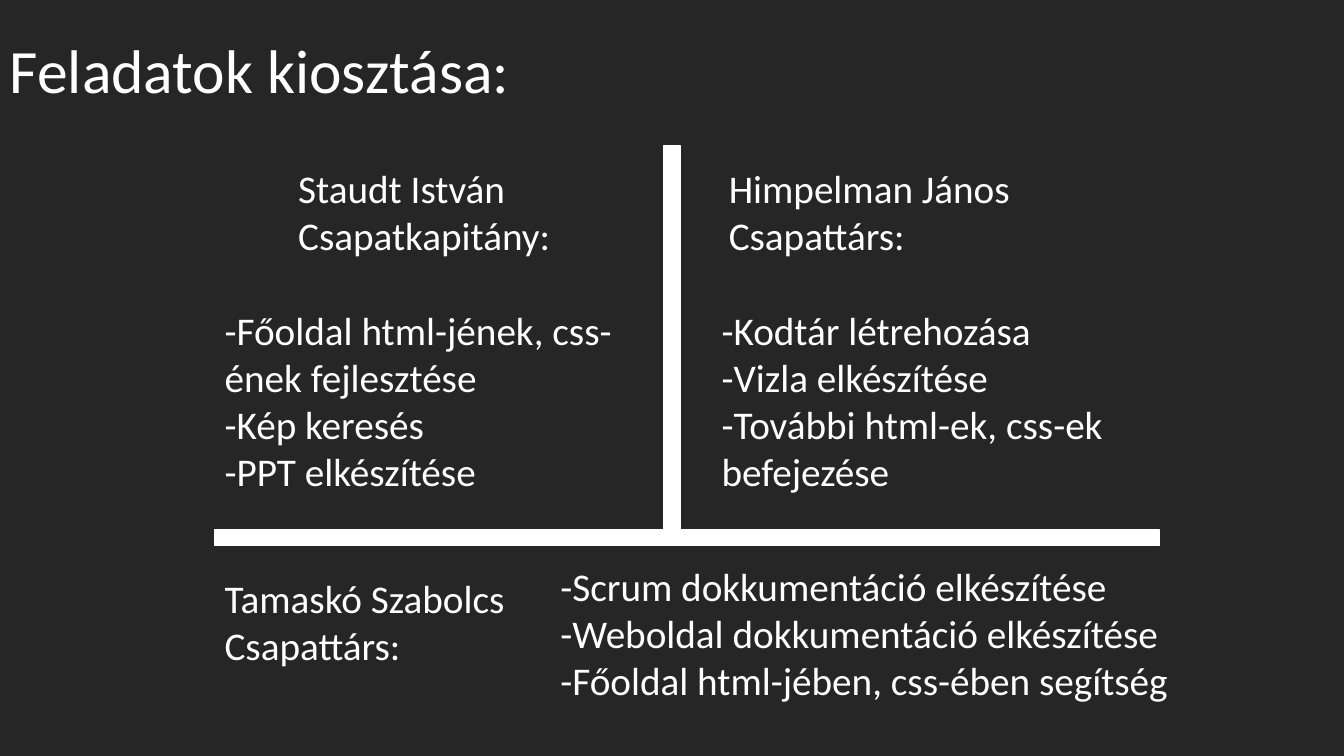
from pptx import Presentation
from pptx.dml.color import RGBColor
from pptx.enum.shapes import MSO_SHAPE
from pptx.enum.text import MSO_ANCHOR, MSO_AUTO_SIZE
from pptx.util import Inches, Pt

CHARCOAL = RGBColor(0x26, 0x26, 0x26)
WHITE = RGBColor(0xFF, 0xFF, 0xFF)
RECTANGLE = MSO_SHAPE.RECTANGLE
TOP = MSO_ANCHOR.TOP
MIDDLE = MSO_ANCHOR.MIDDLE
GROW = MSO_AUTO_SIZE.SHAPE_TO_FIT_TEXT
FIXED = MSO_AUTO_SIZE.NONE


class TaskSlide:
    def __init__(self, slide):
        self.slide = slide
        self.font_style = {"name": "Calibri", "size": Pt(28)}
        background = slide.background.fill
        background.solid()
        background.fore_color.rgb = CHARCOAL

    def text(self, area, paragraphs, frame_style=None, font_style=None, line_spacing=None):
        box = self.slide.shapes.add_textbox(*map(Inches, area))
        frame = box.text_frame
        frame_format = {"word_wrap": True, "auto_size": GROW, "vertical_anchor": TOP}
        for key, value in (frame_format | (frame_style or {})).items():
            setattr(frame, key, value)
        for index, wording in enumerate(paragraphs):
            paragraph = frame.add_paragraph() if index else frame.paragraphs[0]
            paragraph.text = wording
            if line_spacing:
                paragraph.line_spacing = line_spacing
            for run in paragraph.runs:
                for key, value in (self.font_style | (font_style or {})).items():
                    setattr(run.font, key, value)
                run.font.color.rgb = WHITE

    def bar(self, area):
        divider = self.slide.shapes.add_shape(RECTANGLE, *map(Inches, area))
        divider.shadow.inherit = False
        divider.fill.solid()
        divider.fill.fore_color.rgb = WHITE
        divider.line.color.rgb = WHITE
        divider.line.width = Pt(1)


def main():
    presentation = Presentation()
    presentation.slide_width = Inches(13.33)
    presentation.slide_height = Inches(7.5)
    tasks = TaskSlide(presentation.slides.add_slide(presentation.slide_layouts[6]))

    tasks.text(
        (0, 0, 11.5, 1.45),
        ["Feladatok kiosztása:"],
        {"auto_size": FIXED, "vertical_anchor": MIDDLE},
        {"size": Pt(44)},
        0.9,
    )

    for divider in ((6.58, 1.45, 0.17, 3.81), (2.13, 5.26, 9.37, 0.15)):
        tasks.bar(divider)

    members = [
        (2.86, 1.58, "Staudt István", "Csapatkapitány:"),
        (7.13, 1.58, "Himpelman János", "Csapattárs:"),
        (2.13, 5.65, "Tamaskó Szabolcs", "Csapattárs:"),
    ]
    for left, top, member, role in members:
        tasks.text((left, top, 3.34, 1.04), [member, role])

    duties = [
        (
            (2.13, 2.99, 4.15, 1.99),
            ["-Főoldal html-jének, css-ének fejlesztése", "-Kép keresés", "-PPT elkészítése"],
        ),
        (
            (7.06, 2.99, 5.56, 1.99),
            ["-Kodtár létrehozása", "-Vizla elkészítése\n-További html-ek, css-ek befejezése"],
        ),
        (
            (5.46, 5.53, 7.84, 1.51),
            [
                "-Scrum dokkumentáció elkészítése\n"
                "-Weboldal dokkumentáció elkészítése\n"
                "-Főoldal html-jében, css-ében segítség"
            ],
        ),
    ]
    for area, duty in duties:
        tasks.text(area, duty)

    presentation.save("out.pptx")


if __name__ == "__main__":
    main()
